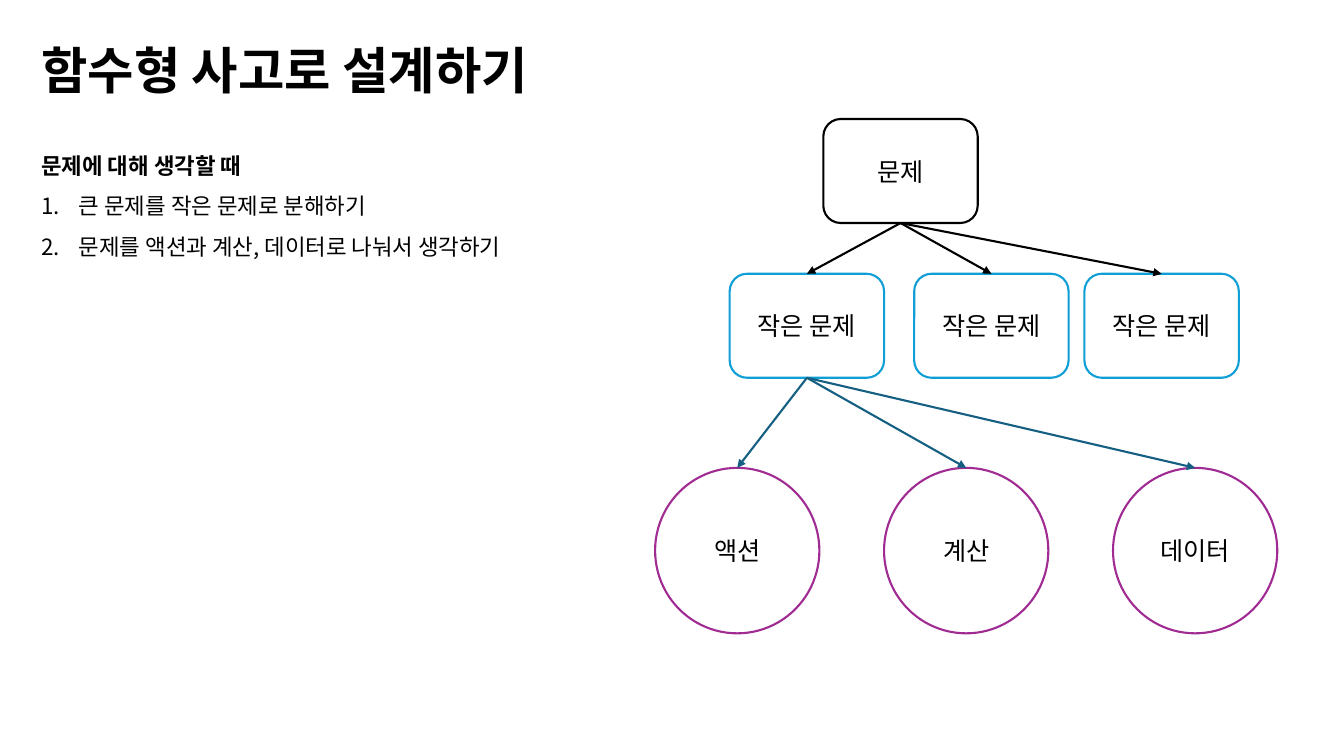
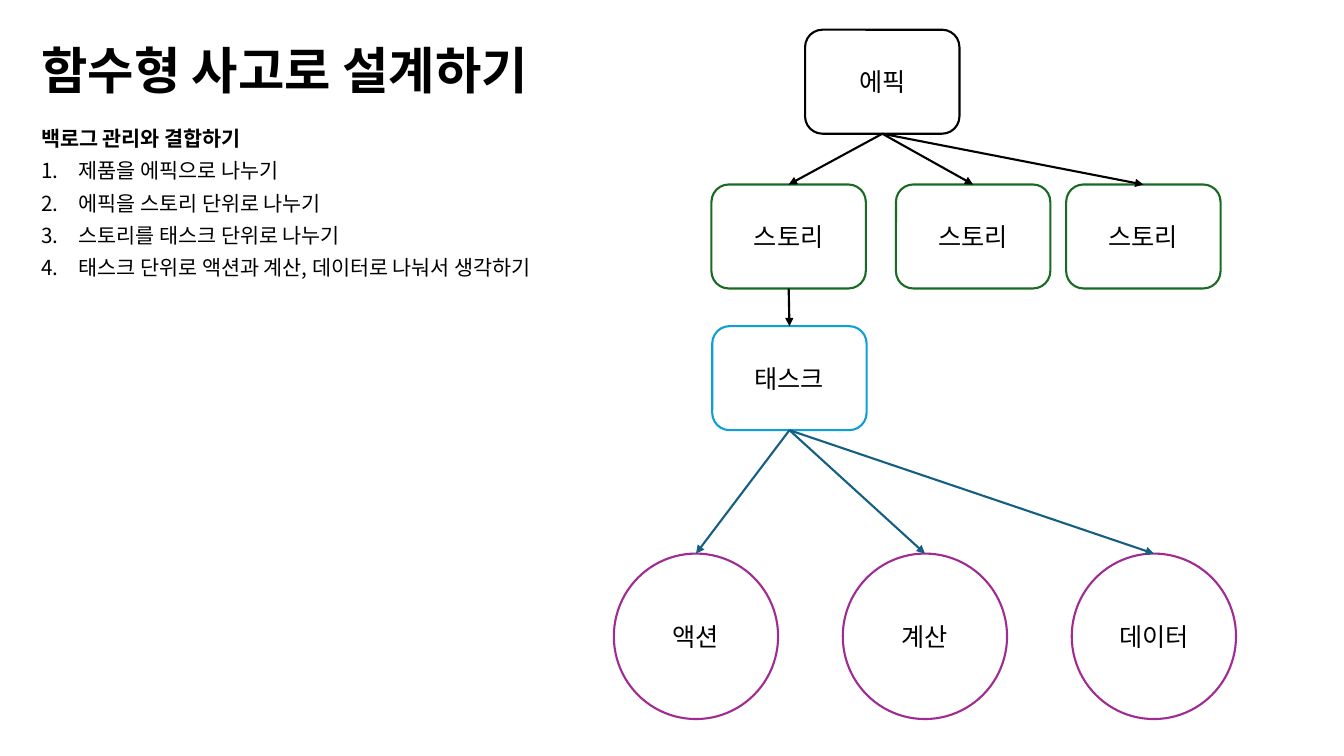
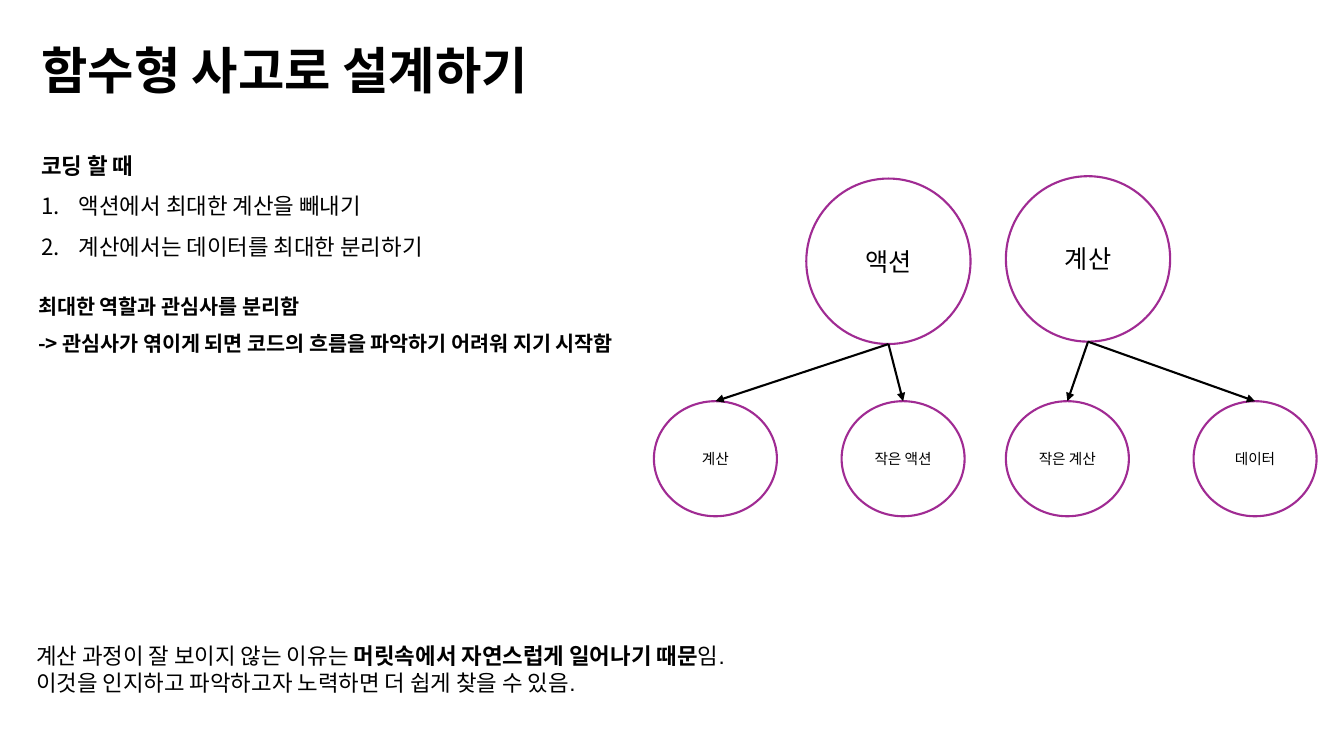
from lxml.etree import SubElement
from pptx import Presentation
from pptx.dml.color import RGBColor
from pptx.enum.shapes import MSO_CONNECTOR, MSO_SHAPE
from pptx.enum.text import MSO_ANCHOR, MSO_AUTO_SIZE, PP_ALIGN
from pptx.oxml.ns import qn
from pptx.util import Cm, Pt

BLACK = RGBColor(0x00, 0x00, 0x00)
WHITE = RGBColor(0xFF, 0xFF, 0xFF)
BLUE = RGBColor(0x0F, 0x9E, 0xD5)
GREEN = RGBColor(0x19, 0x6B, 0x24)
PURPLE = RGBColor(0xA0, 0x2B, 0x93)
TEAL = RGBColor(0x15, 0x60, 0x82)

KOREAN_FONT = "Noto Sans CJK KR"
LATIN_FONT = "Arial"
TITLE = "함수형 사고로 설계하기"
KINDS = ["액션", "계산", "데이터"]

RECT_SIZE = (3.89, 2.62)
CIRCLE_SIZE = (4.14, 4.17)
SMALL_CIRCLE_SIZE = (3.1, 2.9)
BRANCH_OFFSETS = [-2.36, 2.29, 6.58]
BRANCH_DROP = 3.9
CIRCLE_PITCH = 5.77
SMALL_PITCH = 4.73


def style_paragraph(para, size, bold=None, spacing=None, font=KOREAN_FONT):
    if spacing:
        para.line_spacing = spacing
    para.font.size = Pt(size)
    para.font.bold = bold
    para.font.name = font
    para.font.color.rgb = BLACK
    properties = para._p.pPr.find(qn("a:defRPr"))
    SubElement(properties, qn("a:ea"), typeface=KOREAN_FONT)


def number_paragraph(para):
    properties = para._p.get_or_add_pPr()
    indent = Cm(0.95)
    properties.set("marL", str(indent))
    properties.set("indent", str(-indent))
    SubElement(properties, qn("a:buAutoNum"), type="arabicPeriod")


def add_page(deck):
    page = deck.slides.add_slide(deck.slide_layouts[5])
    title = page.shapes.title
    title.left, title.top, title.width, title.height = (
        Cm(0.79), Cm(0.99), Cm(22.58), Cm(1.73))
    frame = title.text_frame
    frame.text = TITLE
    frame.vertical_anchor = MSO_ANCHOR.MIDDLE
    frame.auto_size = MSO_AUTO_SIZE.NONE
    para = frame.paragraphs[0]
    para.alignment = PP_ALIGN.LEFT
    style_paragraph(para, 36, True, 0.9)
    return page


def add_text_frame(page, left, top, width, height, anchor=MSO_ANCHOR.MIDDLE):
    box = page.shapes.add_textbox(Cm(left), Cm(top), Cm(width), Cm(height))
    frame = box.text_frame
    frame.word_wrap = True
    frame.vertical_anchor = anchor
    return frame


def add_steps(page, heading, steps, size=16, spacing=1.5):
    frame = add_text_frame(page, 0.79, 2.77, 15.27, 4.5)
    frame.text = "\n".join([heading, *steps])
    for index, para in enumerate(frame.paragraphs):
        if index:
            number_paragraph(para)
        style_paragraph(para, size, index == 0, spacing)


def add_node(page, kind, text, left, top, dimensions, color, size=18):
    width, height = dimensions
    node = page.shapes.add_shape(kind, Cm(left), Cm(top), Cm(width), Cm(height))
    node.shadow.inherit = False
    node.fill.solid()
    node.fill.fore_color.rgb = WHITE
    node.line.color.rgb = color
    node.line.width = Pt(1.5)
    frame = node.text_frame
    frame.text = text
    frame.vertical_anchor = MSO_ANCHOR.MIDDLE
    para = frame.paragraphs[0]
    para.alignment = PP_ALIGN.CENTER
    style_paragraph(para, size)
    return node


def add_rect(page, text, left, top, color):
    return add_node(page, MSO_SHAPE.ROUNDED_RECTANGLE, text, left, top,
                    RECT_SIZE, color)


def add_circle(page, text, left, top, dimensions=CIRCLE_SIZE, size=18):
    return add_node(page, MSO_SHAPE.OVAL, text, left, top, dimensions,
                    PURPLE, size)


def add_arrows(page, parent, children, color=BLACK):
    for child in children:
        arrow = page.shapes.add_connector(
            MSO_CONNECTOR.STRAIGHT,
            parent.left + parent.width // 2, parent.top + parent.height,
            child.left + child.width // 2, child.top)
        if parent.auto_shape_type == MSO_SHAPE.ROUNDED_RECTANGLE:
            arrow.begin_connect(parent, 2)
        arrow.end_connect(child, 0)
        arrow.line.color.rgb = color
        arrow.line.width = Pt(1.5)
        SubElement(arrow.line._get_or_add_ln(), qn("a:tailEnd"), type="triangle")
        SubElement(arrow._element.spPr, qn("a:effectLst"))


def add_branches(page, root_text, branch_text, left, top, color):
    root = add_rect(page, root_text, left, top, BLACK)
    branches = [add_rect(page, branch_text, left + offset, top + BRANCH_DROP, color)
                for offset in BRANCH_OFFSETS]
    add_arrows(page, root, branches)
    return branches


def add_kinds(page, parent, left, top):
    circles = [add_circle(page, text, left + index * CIRCLE_PITCH, top)
               for index, text in enumerate(KINDS)]
    add_arrows(page, parent, circles, TEAL)


def add_split(page, text, left, top, parts, parts_left):
    whole = add_circle(page, text, left, top)
    circles = [add_circle(page, part, parts_left + index * SMALL_PITCH, 10.11,
                          SMALL_CIRCLE_SIZE, 10.5)
               for index, part in enumerate(parts)]
    add_arrows(page, whole, circles)


def add_problem_page(deck):
    page = add_page(deck)
    add_steps(page, "문제에 대해 생각할 때", [
        "큰 문제를 작은 문제로 분해하기",
        "문제를 액션과 계산, 데이터로 나눠서 생각하기",
    ])
    problems = add_branches(page, "문제", "작은 문제", 20.75, 3, BLUE)
    add_kinds(page, problems[0], 16.51, 11.79)


def add_backlog_page(deck):
    page = add_page(deck)
    add_steps(page, "백로그 관리와 결합하기", [
        "제품을 에픽으로 나누기",
        "에픽을 스토리 단위로 나누기",
        "스토리를 태스크 단위로 나누기",
        "태스크 단위로 액션과 계산, 데이터로 나눠서 생각하기",
    ], 14.8, 1.3)
    stories = add_branches(page, "에픽", "스토리", 20.29, 0.75, GREEN)
    task = add_rect(page, "태스크", 17.95, 8.22, BLUE)
    add_arrows(page, stories[0], [task])
    add_kinds(page, task, 15.47, 13.95)


def add_coding_page(deck):
    page = add_page(deck)
    add_steps(page, "코딩 할 때", [
        "액션에서 최대한 계산을 빼내기",
        "계산에서는 데이터를 최대한 분리하기",
    ])
    add_split(page, "액션", 20.32, 4.5, ["계산", "작은 액션"], 16.48)
    add_split(page, "계산", 25.35, 4.44, ["작은 계산", "데이터"], 25.35)

    reason = add_text_frame(page, 0.71, 6.58, 17.58, 2.9)
    reason.text = ("최대한 역할과 관심사를 분리함\n"
                   "-> 관심사가 엮이게 되면 코드의 흐름을 파악하기 어려워 지기 시작함")
    for para in reason.paragraphs:
        style_paragraph(para, 14.8, True, 1.5)

    closing = add_text_frame(page, 0.66, 16.05, 22.68, 1.63, MSO_ANCHOR.TOP)
    lines = [
        [("계산 과정이 잘 보이지 않는 이유는 ", False),
         ("머릿속에서 자연스럽게 일어나기 때문", True),
         ("임.", False)],
        [("이것을 인지하고 파악하고자 노력하면 더 쉽게 찾을 수 있음.", False)],
    ]
    for index, spans in enumerate(lines):
        para = closing.add_paragraph() if index else closing.paragraphs[0]
        style_paragraph(para, 16, font=LATIN_FONT)
        for text, bold in spans:
            span = para.add_run()
            span.text = text
            span.font.bold = bold


def main():
    deck = Presentation()
    deck.slide_width = Cm(33.87)
    deck.slide_height = Cm(19.05)
    add_problem_page(deck)
    add_backlog_page(deck)
    add_coding_page(deck)
    deck.save("out.pptx")


if __name__ == "__main__":
    main()
